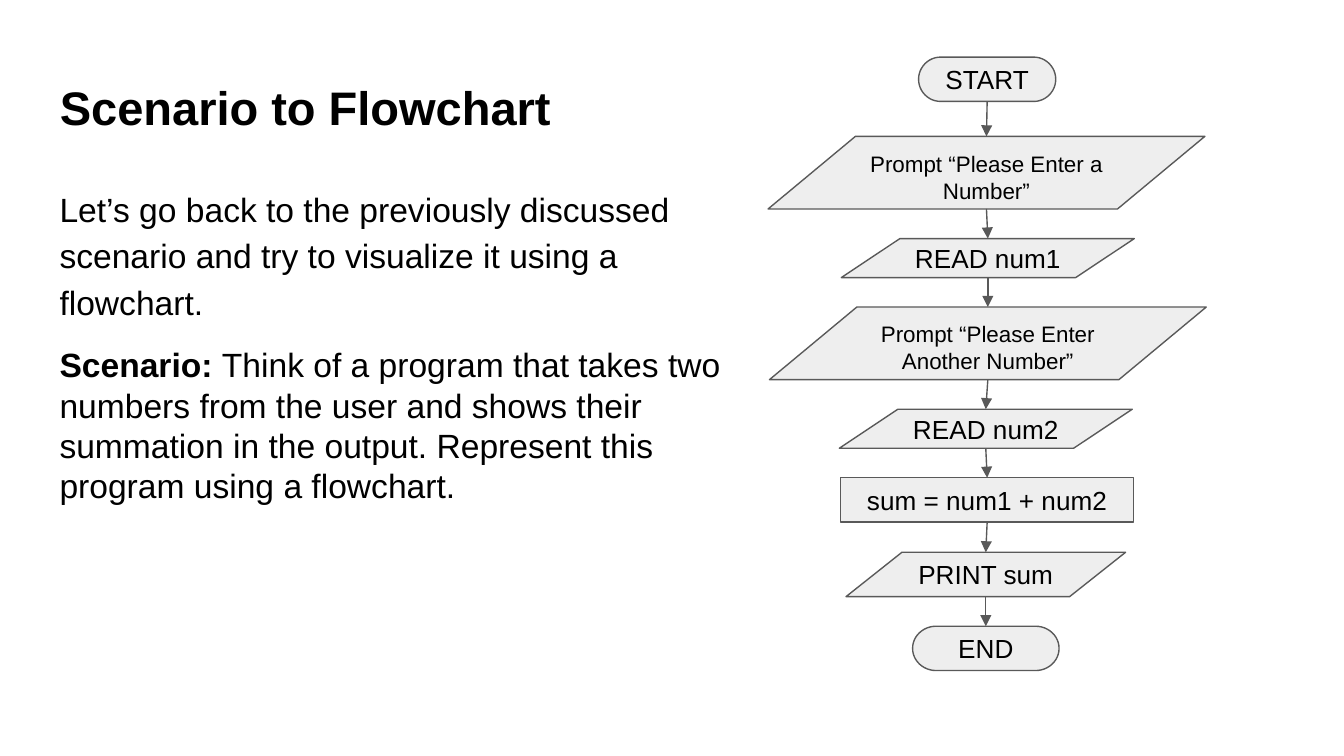
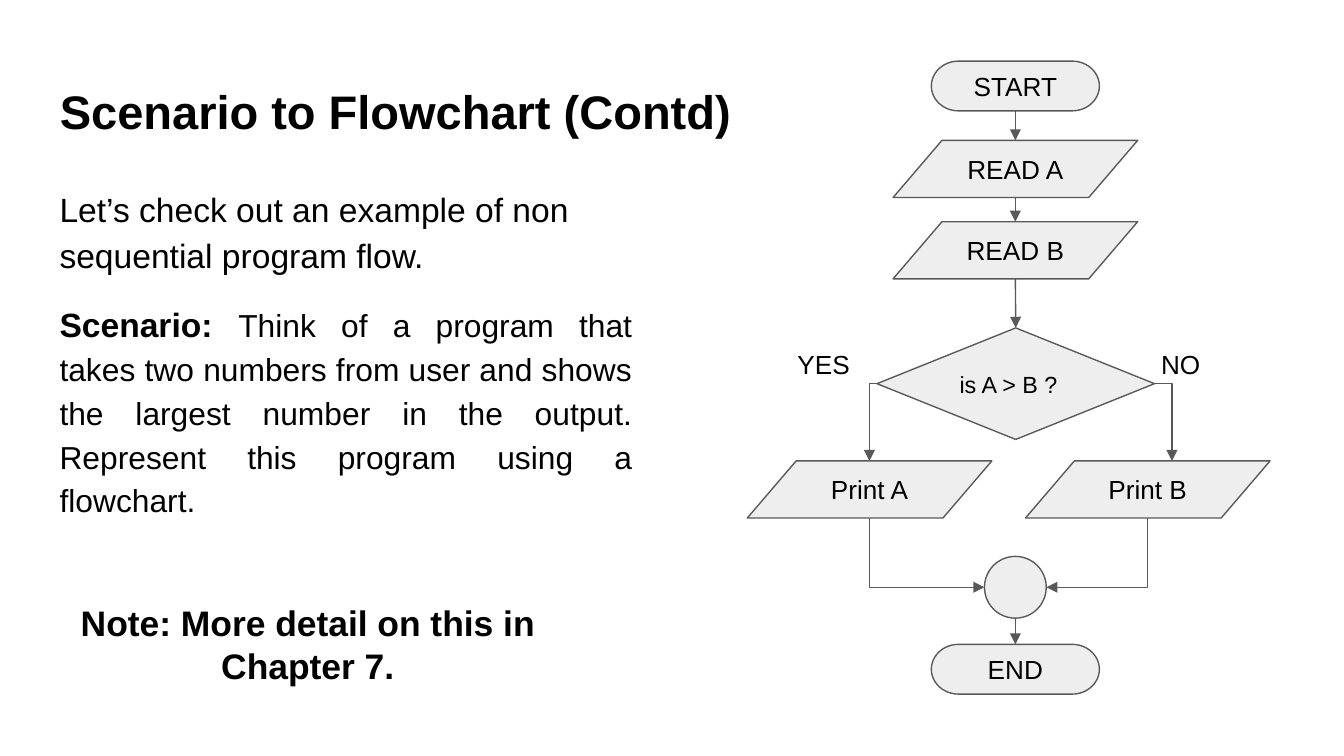
from dataclasses import dataclass

from lxml import etree
from pptx import Presentation
from pptx import util as u
from pptx.dml.color import RGBColor
from pptx.enum import shapes, text
from pptx.oxml.ns import qn

PX = 4572  # EMU per px, 200 px to the inch


@dataclass(frozen=True)
class Theme:
    font: str = "Arial"
    ink: RGBColor = RGBColor(0x00, 0x00, 0x00)
    paper: RGBColor = RGBColor(0xFF, 0xFF, 0xFF)
    node: RGBColor = RGBColor(0xEE, 0xEE, 0xEE)
    edge: RGBColor = RGBColor(0x59, 0x59, 0x59)
    edge_pt: float = 0.75
    title: float = 25.2
    note: float = 19
    body: float = 18
    detail: float = 17
    label: float = 14
    question: float = 12.5
    prompt: float = 12
    inset: int = 20
    margin: int = 69


T = Theme()
M = shapes.MSO_SHAPE
TERMINAL, PROCESS, DATA = M.FLOWCHART_TERMINATOR, M.FLOWCHART_PROCESS, M.FLOWCHART_DATA
DECISION, JOIN = M.FLOWCHART_DECISION, M.FLOWCHART_CONNECTOR
LEFT, CENTER, JUSTIFY = text.PP_ALIGN.LEFT, text.PP_ALIGN.CENTER, text.PP_ALIGN.JUSTIFY
TOP, MIDDLE = text.MSO_ANCHOR.TOP, text.MSO_ANCHOR.MIDDLE


def px(n):
    return u.Emu(round(n * PX))


# Text
def setup_frame(tf, anchor=TOP):
    tf.word_wrap = True
    tf.auto_size = text.MSO_AUTO_SIZE.NONE
    tf.vertical_anchor = anchor
    tf.margin_left = tf.margin_right = tf.margin_top = tf.margin_bottom = px(T.inset)


def add_run(p, words, size, bold=False):
    r = p.add_run()
    r.text = words
    r.font.name = T.font
    r.font.size = u.Pt(size)
    r.font.bold = bold
    r.font.color.rgb = T.ink


def add_text(s, box, words, size, bold=False, align=LEFT, anchor=TOP):
    tf = s.shapes.add_textbox(*map(px, box)).text_frame
    setup_frame(tf, anchor)
    tf.paragraphs[0].alignment = align
    add_run(tf.paragraphs[0], words, size, bold)
    return tf


def add_slide(prs, title, top, width):
    s = prs.slides.add_slide(prs.slide_layouts[5])
    s.background.fill.solid()
    s.background.fill.fore_color.rgb = T.paper
    sp = s.shapes.title
    sp.left, sp.top, sp.width, sp.height = map(px, (T.margin, top, width, 126))
    setup_frame(sp.text_frame)
    p = sp.text_frame.paragraphs[0]
    p.alignment = LEFT
    add_run(p, title, T.title, True)
    return s


def add_scenario(s, width, height, intro, scenario, size=T.body, align=LEFT, spacing=1.0):
    tf = add_text(s, (T.margin, 252, width, height), intro, T.body)
    tf.paragraphs[0].line_spacing = 1.15
    p = tf.add_paragraph()
    p.alignment = align
    p.line_spacing = spacing
    p.space_before = p.space_after = u.Pt(12)
    add_run(p, "Scenario: ", T.body, True)
    add_run(p, scenario, size)


# Flowchart nodes and arrows
def add_node(s, kind, box, words="", size=T.label, align=CENTER, anchor=MIDDLE):
    sp = s.shapes.add_shape(kind, *map(px, box))
    sp.shadow.inherit = False
    sp.fill.solid()
    sp.fill.fore_color.rgb = T.node
    sp.line.color.rgb = T.edge
    sp.line.width = u.Pt(T.edge_pt)
    setup_frame(sp.text_frame, anchor)
    p = sp.text_frame.paragraphs[0]
    p.alignment = align
    if words:
        add_run(p, words, size)
    return box


def top_of(box):
    return box[0] + box[2] / 2, box[1]


def bottom_of(box):
    return box[0] + box[2] / 2, box[1] + box[3]


def left_of(box):
    return box[0], box[1] + box[3] / 2


def right_of(box):
    return box[0] + box[2], box[1] + box[3] / 2


def add_arrow(s, start, end, kind=shapes.MSO_CONNECTOR.STRAIGHT):
    c = s.shapes.add_connector(kind, *map(px, (*start, *end)))
    c.line.color.rgb = T.edge
    c.line.width = u.Pt(T.edge_pt)
    etree.SubElement(c.line._get_or_add_ln(), qn("a:tailEnd"), type="triangle")
    etree.SubElement(c._element.spPr, qn("a:effectLst"))
    return c


def add_elbow(s, start, end, down_first=False):
    """One-bend arrow; a downward start is a sideways one turned a quarter."""
    turn = 0
    if down_first:
        (x1, y1), (x2, y2) = start, end
        cx, cy = (x1 + x2) / 2, (y1 + y2) / 2
        half_w, half_h = (y2 - y1) / 2, abs(x2 - x1) / 2
        turn = 270 if x2 > x1 else 90
        if x2 > x1:
            half_w = -half_w
        start, end = (cx - half_w, cy - half_h), (cx + half_w, cy + half_h)
    c = add_arrow(s, start, end, shapes.MSO_CONNECTOR.ELBOW)
    c._element.spPr.find(qn("a:prstGeom")).set("prst", "bentConnector2")
    if turn:
        c._element.spPr.find(qn("a:xfrm")).set("rot", str(turn * 60000))


def add_chain(s, boxes):
    for above, below in zip(boxes, boxes[1:]):
        add_arrow(s, bottom_of(above), top_of(below))


# Slides
def sum_slide(prs):
    s = add_slide(prs, "Scenario to Flowchart", 97, 932)
    add_scenario(
        s, 1028, 748,
        "Let’s go back to the previously discussed scenario and try to visualize it "
        "using a flowchart.",
        "Think of a program that takes two numbers from the user and shows their "
        "summation in the output. Represent this program using a flowchart.")
    prompt = dict(size=T.prompt, anchor=TOP)
    steps = [
        (TERMINAL, (1367, 85, 204, 66), "START", {}),
        (DATA, (1143, 203, 650, 108), "Prompt “Please Enter a Number”", prompt),
        (DATA, (1252, 355, 436, 58), "READ num1", {}),
        (DATA, (1145, 457, 650, 108), "Prompt “Please Enter Another Number”", prompt),
        (DATA, (1249, 609, 436, 58), "READ num2", {}),
        (PROCESS, (1251, 711, 436, 66), "sum = num1 + num2", {}),
        (DATA, (1259, 822, 416, 66), "PRINT sum", {}),
        (TERMINAL, (1358, 932, 218, 66), "END", {}),
    ]
    add_chain(s, [add_node(s, kind, box, words, **style) for kind, box, words, style in steps])


def largest_slide(prs):
    s = add_slide(prs, "Scenario to Flowchart (Contd)", 103, 1078)
    add_scenario(
        s, 892, 548,
        "Let’s check out an example of non sequential program flow.",
        "Think of a program that takes two numbers from user and shows the largest "
        "number in the output. Represent this program using a flowchart.",
        size=T.detail, align=JUSTIFY, spacing=1.15)

    # Main column
    start = add_node(s, TERMINAL, (1386, 91, 250, 74), "START")
    read_a = add_node(s, DATA, (1329, 209, 364, 85), "READ A")
    read_b = add_node(s, DATA, (1329, 330, 364, 85), "READ B")
    test = add_node(s, DECISION, (1305, 488, 413, 166), "is A > B ?", T.question, LEFT)
    join = add_node(s, JOIN, (1465, 828, 92, 92))
    end = add_node(s, TERMINAL, (1386, 959, 250, 74), "END")
    add_chain(s, [start, read_a, read_b, test])
    add_chain(s, [join, end])

    # Branches
    print_a = add_node(s, DATA, (1112, 686, 364, 85), "Print A")
    print_b = add_node(s, DATA, (1526, 686, 364, 85), "Print B")
    add_elbow(s, left_of(test), top_of(print_a))
    add_elbow(s, right_of(test), (1744, print_b[1]))
    add_elbow(s, bottom_of(print_a), left_of(join), down_first=True)
    add_elbow(s, bottom_of(print_b), right_of(join), down_first=True)
    add_text(s, (1167, 498, 162, 88), "YES", T.label)
    add_text(s, (1708, 498, 110, 88), "NO", T.label)

    add_text(s, (T.margin, 874, 778, 168), "Note: More detail on this in Chapter 7.",
             T.note, True, CENTER, MIDDLE)


def main():
    prs = Presentation()
    prs.slide_width, prs.slide_height = px(2000), px(1125)
    sum_slide(prs)
    largest_slide(prs)
    prs.save("out.pptx")


if __name__ == "__main__":
    main()
